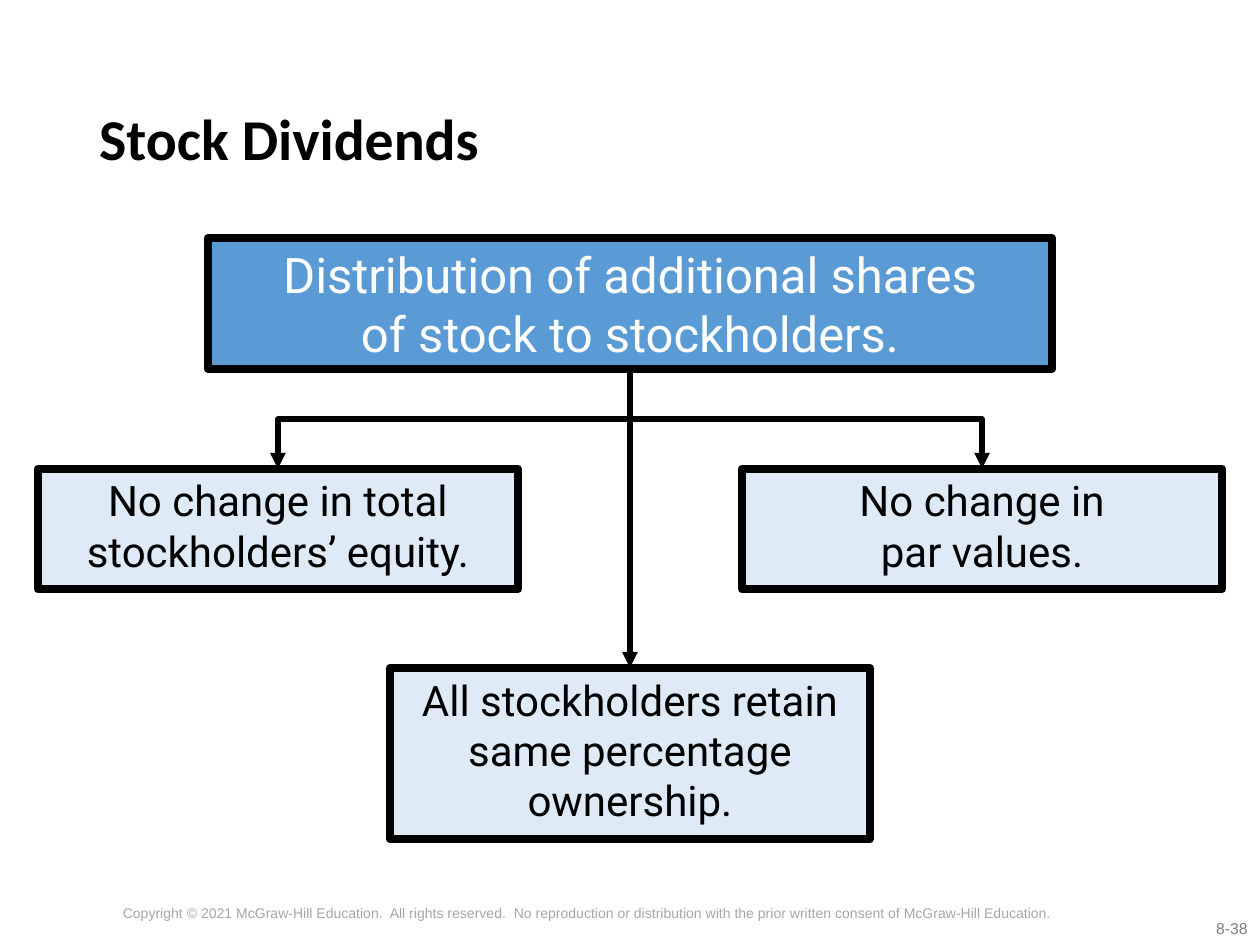
from dataclasses import dataclass

from pptx import Presentation
from pptx.dml.color import RGBColor
from pptx.enum.shapes import MSO_CONNECTOR as Link, MSO_SHAPE as Shape
from pptx.enum.text import MSO_ANCHOR as Anchor, MSO_AUTO_SIZE as AutoSize, PP_ALIGN as Align
from pptx.oxml.ns import qn
from pptx.util import Pt
from lxml.etree import SubElement

SLIDE_WIDTH, SLIDE_HEIGHT = 720, 540
TOP, BOTTOM_CENTER = 0, 2  # connection sites of a rectangle


@dataclass(frozen=True)
class Theme:
    black: RGBColor = RGBColor(0, 0, 0)
    white: RGBColor = RGBColor(255, 255, 255)
    cause: RGBColor = RGBColor.from_string("5B9BD5")
    effect: RGBColor = RGBColor.from_string("DEEBF7")
    copyright: RGBColor = RGBColor.from_string("A6A6A6")
    number: RGBColor = RGBColor.from_string("808080")
    title_size: int = 33
    cause_size: int = 28
    effect_size: int = 24
    number_size: int = 9
    copyright_size: int = 8
    border: float = 4.5
    arrow: float = 3


THEME = Theme()


def set_all(target, **values):
    for key, value in values.items():
        setattr(target, key, value)


def write(frame, text, align, font, size, color, anchor=Anchor.TOP, bold=False):
    set_all(frame, word_wrap=True, auto_size=AutoSize.NONE, vertical_anchor=anchor)
    paragraph = frame.paragraphs[0]
    paragraph.text = text
    paragraph.alignment = align
    set_all(paragraph.font, name=font, size=Pt(size), bold=bold)
    paragraph.font.color.rgb = color
    return paragraph


def add_title(slide, text):
    title = slide.shapes.title
    set_all(title, left=Pt(49.5), top=Pt(28.8), width=Pt(621), height=Pt(104.4))
    paragraph = write(title.text_frame, text, Align.LEFT, "Calibri",
                      THEME.title_size, THEME.black, Anchor.MIDDLE, bold=True)
    paragraph.line_spacing = 0.9


def add_box(slide, text, center, top, width, height, fill, size, color):
    box = slide.shapes.add_shape(Shape.RECTANGLE, Pt(center - width / 2), Pt(top),
                                 Pt(width), Pt(height))
    box.shadow.inherit = False
    box.fill.solid()
    box.fill.fore_color.rgb = fill
    box.line.color.rgb = THEME.black
    box.line.width = Pt(THEME.border)
    write(box.text_frame, text, Align.CENTER, "Roboto", size, color)
    return box


def add_arrow(slide, cause, effect):
    """Link two boxes, straight down or by way of an elbow halfway down."""
    start_x, end_x = (box.left + box.width // 2 for box in (cause, effect))
    start_y, end_y = cause.top + cause.height, effect.top
    across, down = abs(end_x - start_x), end_y - start_y
    kind = Link.ELBOW if across else Link.STRAIGHT
    arrow = slide.shapes.add_connector(kind, start_x, start_y, end_x, end_y)
    arrow.begin_connect(cause, BOTTOM_CENTER)
    arrow.end_connect(effect, TOP)
    properties = arrow._element.spPr
    if across:
        # A preset elbow leaves sideways, so it is turned to leave downwards.
        set_all(arrow, left=(start_x + end_x - down) // 2,
                top=(start_y + end_y - across) // 2, width=down, height=across)
        to_right = end_x > start_x
        frame = properties.find(qn("a:xfrm"))
        frame.set("rot", str((270 if to_right else 90) * 60000))
        frame.set("flipH", str(int(to_right)))
        frame.set("flipV", "0")
    arrow.line.color.rgb = THEME.black
    arrow.line.width = Pt(THEME.arrow)
    SubElement(properties.find(qn("a:ln")), qn("a:tailEnd"), type="triangle")
    SubElement(properties, qn("a:effectLst"))


def add_footer(slide, text, left, top, width, height, align, size, color):
    footer = slide.shapes.add_textbox(Pt(left), Pt(top), Pt(width), Pt(height))
    write(footer.text_frame, text, align, "Arial", size, color)


def main():
    deck = Presentation()
    set_all(deck, slide_width=Pt(SLIDE_WIDTH), slide_height=Pt(SLIDE_HEIGHT))
    slide = deck.slides.add_slide(deck.slide_layouts[5])
    middle, side_offset = SLIDE_WIDTH / 2, 201.2

    add_footer(slide, "8-38", 632.9, 521.3, 87.1, 18, Align.RIGHT,
               THEME.number_size, THEME.number)
    add_footer(slide, "Copyright © 2021 McGraw-Hill Education.  All rights reserved.  "
               "No reproduction or distribution with the prior written consent of "
               "McGraw-Hill Education.", 0, 513.4, 671.8, 26.6, Align.CENTER,
               THEME.copyright_size, THEME.copyright)
    add_title(slide, "Stock Dividends")

    distribution = add_box(slide, "Distribution of additional shares\nof stock to stockholders.",
                           middle, 136, 482.4, 75, THEME.cause, THEME.cause_size, THEME.white)
    effects = [
        ("No change in total stockholders’ equity.", middle - side_offset, 267.8, 69),
        ("No change in\npar values.", middle + side_offset, 267.8, 69),
        ("All stockholders retain same percentage ownership.", middle, 381.6, 98),
    ]
    for text, center, top, height in effects:
        effect = add_box(slide, text, center, top, 274.4, height,
                         THEME.effect, THEME.effect_size, THEME.black)
        add_arrow(slide, distribution, effect)

    deck.save("out.pptx")


if __name__ == "__main__":
    main()
